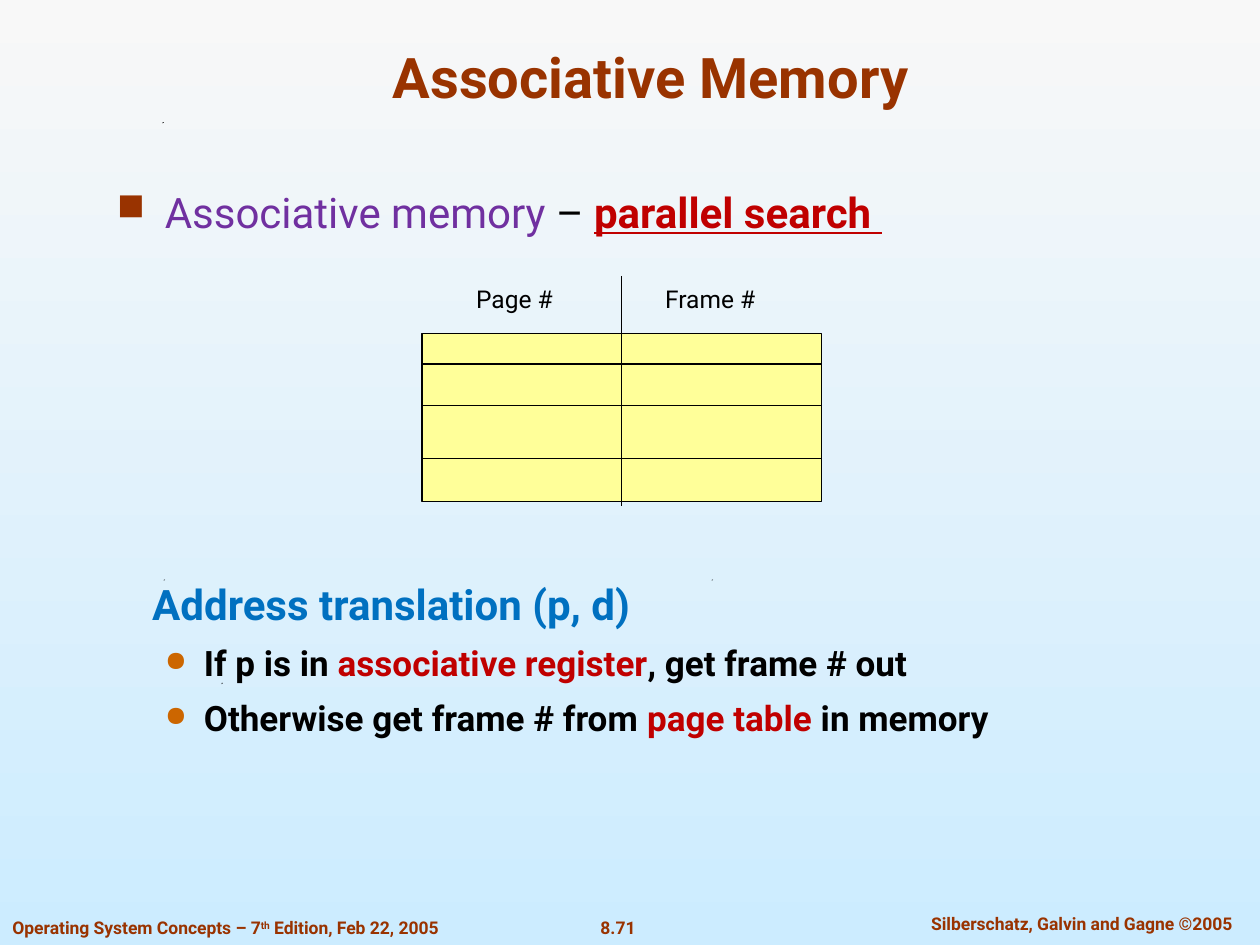
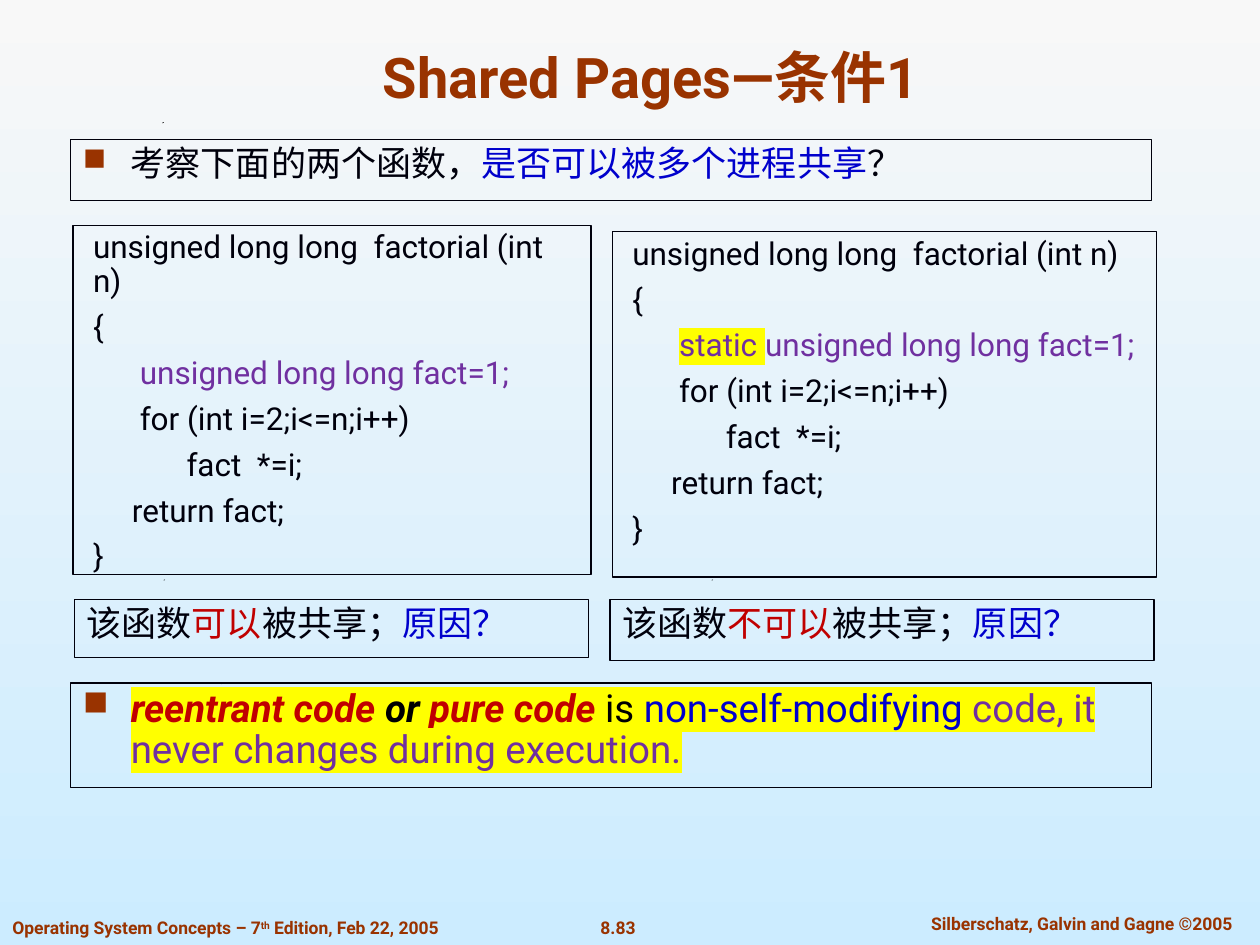
from dataclasses import dataclass
from typing import Optional

from lxml import etree
from pptx import Presentation
from pptx.dml.color import RGBColor
from pptx.enum.shapes import MSO_CONNECTOR as Connector, MSO_SHAPE as Preset
from pptx.enum.text import MSO_ANCHOR as Anchor, MSO_AUTO_SIZE as AutoSize, PP_ALIGN as Align
from pptx.oxml.ns import qn
from pptx.util import Inches, Pt

FONT = "Roboto"
RUST = RGBColor(0x99, 0x33, 0x00)
ORANGE = RGBColor(0xCC, 0x66, 0x00)
PURPLE = RGBColor(0x70, 0x30, 0xA0)
RED = RGBColor(0xC0, 0x00, 0x00)
BLUE = RGBColor(0x00, 0x00, 0xCC)
SKY = RGBColor(0x00, 0x70, 0xC0)
BLACK = RGBColor(0x00, 0x00, 0x00)
INK = RGBColor(0x00, 0x00, 0x0C)
PALE_YELLOW = RGBColor(0xFF, 0xFF, 0x99)
HIGHLIGHT = RGBColor(0xFF, 0xFF, 0x00)
BACKGROUND = (RGBColor(0xF8, 0xF8, 0xF8), RGBColor(0xCC, 0xEC, 0xFF))
SPECKS = ((1.29, 0.97), (1.3, 4.6), (5.65, 4.6), (1.76, 5.42))


@dataclass(frozen=True)
class Span:
    text: str
    color: Optional[RGBColor] = None
    bold: Optional[bool] = None
    italic: Optional[bool] = None
    underline: Optional[bool] = None
    highlight: Optional[RGBColor] = None
    raised: bool = False


@dataclass(frozen=True)
class Bullet:
    char: str
    color: RGBColor
    percent: int


@dataclass(frozen=True)
class Para:
    spans: tuple
    size: float
    color: RGBColor = INK
    bold: bool = False
    align: Align = Align.LEFT
    margin: float = 0
    indent: float = 0
    bullet: Optional[Bullet] = None
    spacing: float = 1


@dataclass(frozen=True)
class Area:
    left: float
    top: float
    width: float
    height: float

    def lengths(self) -> tuple:
        return tuple(Inches(n) for n in (self.left, self.top, self.width, self.height))


SQUARE = Bullet("■", RUST, 90)
DOT = Bullet("●", ORANGE, 80)


def add_span(paragraph, span: Span) -> None:
    run = paragraph.add_run()
    run.text = span.text
    font = run.font
    font.bold, font.italic, font.underline = span.bold, span.italic, span.underline
    if span.color is not None:
        font.color.rgb = span.color
    properties = run._r.get_or_add_rPr()
    if span.raised:
        properties.set("baseline", "30000")
    if span.highlight is not None:
        mark = etree.Element(qn("a:highlight"))
        etree.SubElement(mark, qn("a:srgbClr"), val=str(span.highlight))
        properties.find(qn("a:solidFill")).addnext(mark)


def write(frame, paras: tuple) -> None:
    for index, para in enumerate(paras):
        paragraph = frame.add_paragraph() if index else frame.paragraphs[0]
        properties = paragraph._p.get_or_add_pPr()
        properties.set("marL", str(Inches(para.margin)))
        properties.set("indent", str(Inches(para.indent)))
        if para.bullet:
            color = etree.SubElement(properties, qn("a:buClr"))
            etree.SubElement(color, qn("a:srgbClr"), val=str(para.bullet.color))
            etree.SubElement(properties, qn("a:buSzPct"), val=str(para.bullet.percent * 1000))
            etree.SubElement(properties, qn("a:buChar"), char=para.bullet.char)
        paragraph.alignment = para.align
        paragraph.line_spacing = para.spacing
        if index:
            paragraph.space_before = Pt(round(para.size * 0.375, 2))
        font = paragraph.font
        font.name, font.size, font.bold = FONT, Pt(para.size), para.bold
        font.color.rgb = para.color
        for span in para.spans:
            add_span(paragraph, span)


def add_text(slide, area: Area, *paras: Para, framed: bool = False,
             wrap: bool = True, anchor: Anchor = Anchor.TOP) -> None:
    box = slide.shapes.add_textbox(*area.lengths())
    box.text_frame.word_wrap = wrap
    box.text_frame.vertical_anchor = anchor
    if framed:
        box.line.color.rgb = INK
        box.line.width = Pt(0.75)
    write(box.text_frame, paras)


def add_rule(slide, x1: float, y1: float, x2: float, y2: float) -> None:
    rule = slide.shapes.add_connector(
        Connector.STRAIGHT, Inches(x1), Inches(y1), Inches(x2), Inches(y2))
    rule.line.color.rgb = BLACK
    rule.line.width = Pt(0.75)
    etree.SubElement(rule._element.spPr, qn("a:effectLst"))


def add_speck(slide, left: float, top: float) -> None:
    outline = slide.shapes.build_freeform(Inches(left), Inches(top + 0.01))
    outline.add_line_segments(
        [(Inches(left + 0.01), Inches(top)), (Inches(left), Inches(top))], close=True)
    speck = outline.convert_to_shape()
    speck.shadow.inherit = False
    speck.fill.solid()
    speck.fill.fore_color.rgb = BLACK
    speck.line.fill.background()


def start_slide(deck, heading: str, page: str):
    slide = deck.slides.add_slide(deck.slide_layouts[5])
    for speck in SPECKS:
        add_speck(slide, *speck)
    edition = (Span("Operating System Concepts – 7"), Span("th", raised=True),
               Span(" Edition, Feb 22, 2005"))
    authors = (Span("Silberschatz, Galvin and Gagne ©2005"),)
    for area, spans, align in (
            (Area(0, 7.23, 4.21, 0.27), edition, Align.LEFT),
            (Area(4.64, 7.23, 0.53, 0.27), (Span(page),), Align.CENTER),
            (Area(7.1, 7.2, 2.97, 0.27), authors, Align.CENTER)):
        add_text(slide, area, Para(spans, 10, RUST, True, align), wrap=False)

    title = slide.shapes.title
    title.left, title.top, title.width, title.height = Area(0.75, 0.25, 8.83, 0.67).lengths()
    title.text_frame.auto_size = AutoSize.NONE
    title.text_frame.vertical_anchor = Anchor.BOTTOM
    write(title.text_frame, (Para((Span(heading),), 32, RUST, True, Align.CENTER),))
    return slide


def add_register_grid(slide) -> None:
    grid = Area(3.35, 2.65, 3.17, 1.33)
    registers = slide.shapes.add_shape(Preset.RECTANGLE, *grid.lengths())
    registers.shadow.inherit = False
    registers.fill.solid()
    registers.fill.fore_color.rgb = PALE_YELLOW
    registers.line.color.rgb = BLACK
    registers.line.width = Pt(0.75)
    add_rule(slide, 4.93, 2.19, 4.93, 4.02)
    for y in (2.89, 3.22, 3.64):
        add_rule(slide, grid.left, y, grid.left + grid.width, y)
    for left, label in ((3.68, "Page #"), (5.18, "Frame #")):
        add_text(slide, Area(left, 2.21, 1.42, 0.33), Para((Span(label),), 14, BLACK),
                 wrap=False, anchor=Anchor.MIDDLE)


def build_associative_memory(deck) -> None:
    slide = start_slide(deck, "Associative Memory", "8.71")
    search = (Span("Associative memory ", PURPLE), Span("– "),
              Span("parallel search ", RED, bold=True, underline=True))
    add_text(slide, Area(0.83, 1.43, 8.04, 0.55),
             Para(search, 24, BLACK, margin=0.38, indent=-0.38, bullet=SQUARE))
    add_register_grid(slide)

    hit = (Span("If p is in "), Span("associative register", RED), Span(", get frame # out"))
    miss = (Span("Otherwise get frame # from "), Span("page table ", RED), Span("in memory"))
    cases = (Para(case, 20, BLACK, True, margin=0.69, indent=-0.31, bullet=DOT)
             for case in (hit, miss))
    add_text(slide, Area(0.83, 4.54, 8.04, 1.79),
             Para((Span("Address translation (p, d)"),), 24, SKY, True, margin=0.28), *cases)


def factorial(*declaration: Span) -> tuple:
    lines = (
        (Span("unsigned long long  factorial (int n)"),),
        (Span("{"),),
        (Span("      "), *declaration, Span("unsigned long long fact=1;", PURPLE)),
        (Span("      for (int i=2;i<=n;i++)"),),
        (Span("            fact  *=i;"),),
        (Span("     return fact;"),),
        (Span("}"),),
    )
    return tuple(Para(line, 18, margin=0.06, spacing=0.9) for line in lines)


def verdict(answer: str) -> Para:
    return Para((Span("该函数"), Span(answer, RED), Span("被共享；"), Span("原因？", BLUE)),
                20, spacing=0.9)


def build_shared_pages(deck) -> None:
    slide = start_slide(deck, "Shared Pages—条件1", "8.83")
    question = (Span("考察下面的两个函数，"), Span("是否可以被多个进程共享", BLUE), Span("？"))
    strong = {"bold": True, "italic": True, "highlight": HIGHLIGHT}
    reentrant = (
        Span("reentrant code ", RED, **strong),
        Span("or ", BLACK, **strong),
        Span("pure code ", RED, **strong),
        Span("is ", BLACK, highlight=HIGHLIGHT),
        Span("non-self-modifying ", BLUE, highlight=HIGHLIGHT),
        Span("code, it never changes during execution.", PURPLE, highlight=HIGHLIGHT),
    )
    bulleted = {"margin": 0.38, "indent": -0.38, "bullet": SQUARE, "spacing": 0.9}
    static = Span("static ", PURPLE, highlight=HIGHLIGHT)
    for area, paras in (
            (Area(0.56, 1.11, 8.58, 0.48), (Para(question, 20, **bulleted),)),
            (Area(0.58, 1.79, 4.11, 2.77), factorial()),
            (Area(4.86, 1.84, 4.32, 2.74), factorial(static)),
            (Area(0.59, 4.76, 4.08, 0.46), (verdict("可以"),)),
            (Area(4.84, 4.76, 4.32, 0.48), (verdict("不可以"),)),
            (Area(0.56, 5.42, 8.58, 0.83), (Para(reentrant, 22, **bulleted),))):
        add_text(slide, area, *paras, framed=True)


def main() -> None:
    deck = Presentation()
    deck.slide_width, deck.slide_height = Inches(10), Inches(7.5)
    backdrop = deck.slide_master.background.fill
    backdrop.gradient()
    backdrop.gradient_angle = 270
    for stop, color in zip(backdrop.gradient_stops, BACKGROUND):
        stop.color.rgb = color
    build_associative_memory(deck)
    build_shared_pages(deck)
    deck.save("out.pptx")


if __name__ == "__main__":
    main()
